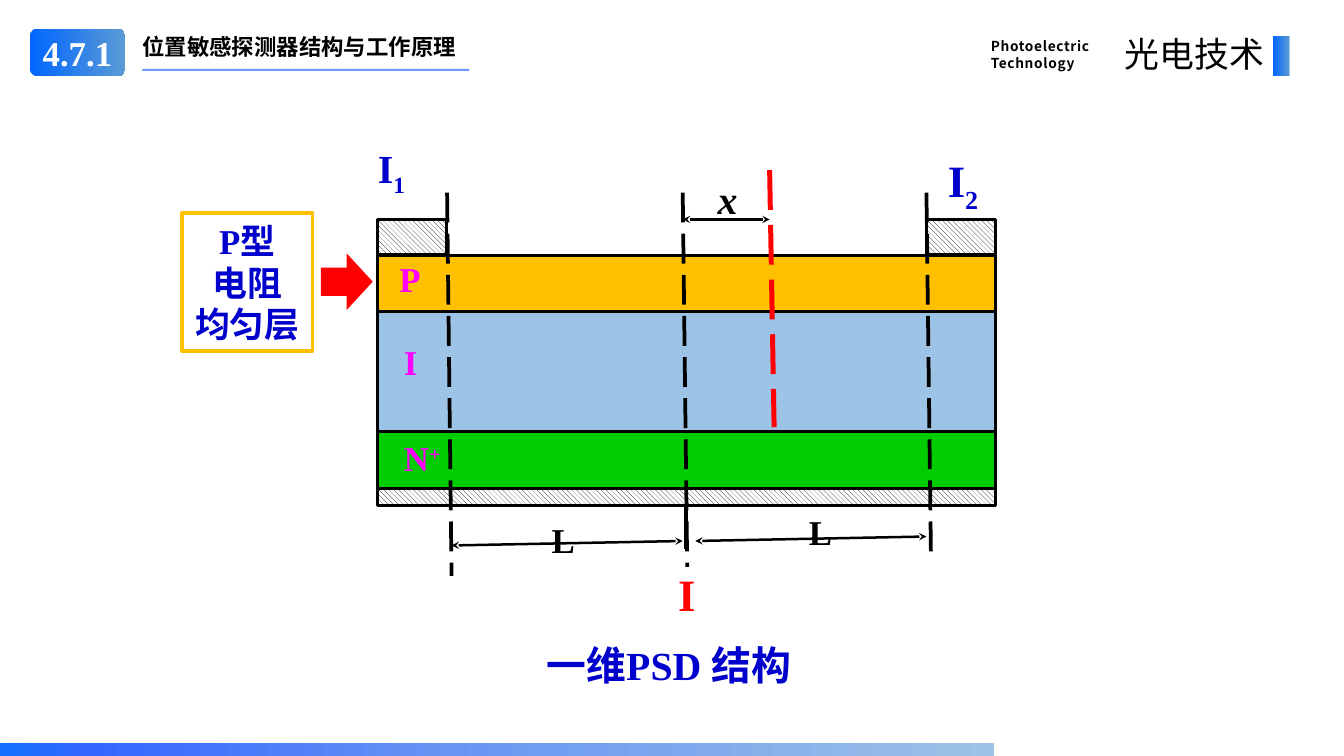
from copy import deepcopy

from lxml.etree import SubElement
from pptx import Presentation
from pptx.dml.color import RGBColor
from pptx.enum.dml import MSO_LINE, MSO_PATTERN
from pptx.enum.shapes import MSO_CONNECTOR, MSO_SHAPE
from pptx.enum.text import MSO_ANCHOR, MSO_AUTO_SIZE, PP_ALIGN
from pptx.oxml.ns import qn
from pptx.util import Inches, Pt

SERIF, SANS = "Times New Roman", "Noto Sans CJK SC"
BLUE, BLACK, RED, PINK, GOLD = "0000CC", "000000", "FF0000", "FF00FF", "FFC000"
BADGE = [(0, "0066FF"), (100, "5B9BD5")]
BAND = [(0, "1271FE"), (9, "3366FF"), (45, "6895F3"), (100, "9DC3E6")]


def color(value):
    return RGBColor.from_string(value)


def write(shape, words, size=28, font=SERIF, ink=BLACK, bold=True, italic=False,
          align=PP_ALIGN.LEFT, anchor=MSO_ANCHOR.TOP, grow=True,
          script="", base=0, gap=0, pitch=None):
    """Fill a shape with text; script is a raised or lowered last run."""
    frame = shape.text_frame
    frame.word_wrap = True
    frame.vertical_anchor = anchor
    if grow:
        frame.auto_size = MSO_AUTO_SIZE.SHAPE_TO_FIT_TEXT
    for i, line in enumerate(words.split("\n")):
        para = frame.add_paragraph() if i else frame.paragraphs[0]
        para.alignment = align
        if pitch:
            para.line_spacing = Pt(pitch)
        for part, shift in ((line, 0), (script, base)):
            if not part:
                continue
            run = para.add_run()
            run.text = part
            run.font.name, run.font.size = font, Pt(size)
            run.font.bold, run.font.italic = bold, italic
            run.font.color.rgb = color(ink)
            props = run.font._element
            SubElement(props, qn("a:ea")).set("typeface", SANS)
            if shift:
                props.set("baseline", str(shift * 1000))
            if gap:
                props.set("spc", str(int(gap * 100)))


def label(slide, box, words, **style):
    write(slide.shapes.add_textbox(*map(Inches, box)), words, **style)


def shade(fill, stops):
    """Set a left-to-right gradient from (percent, colour) pairs."""
    fill.gradient()
    fill.gradient_angle = 0
    first = fill.gradient_stops[0]._gs
    for _ in stops[2:]:
        first.addnext(deepcopy(first))
    for stop, (place, value) in zip(fill.gradient_stops, stops):
        stop.position = place / 100
        stop.color.rgb = color(value)


def block(slide, box, fill=None, line=None, width=2.5, kind=MSO_SHAPE.RECTANGLE):
    """Add a shape; fill is a colour, a list of stops, a pattern or None."""
    shape = slide.shapes.add_shape(kind, *map(Inches, box))
    shape.shadow.inherit = False
    if fill is None:
        shape.fill.background()
    elif isinstance(fill, list):
        shade(shape.fill, fill)
    elif isinstance(fill, str):
        shape.fill.solid()
        shape.fill.fore_color.rgb = color(fill)
    else:
        shape.fill.patterned()
        shape.fill.pattern = fill
        shape.fill.fore_color.rgb = color(BLACK)
        shape.fill.back_color.rgb = color("FFFFFF")
    if line:
        shape.line.color.rgb = color(line)
        shape.line.width = Pt(width)
    else:
        shape.line.fill.background()
    return shape


def rule(slide, start, end, ink=BLACK, width=3, dash=False, arrows=False, alpha=None):
    line = slide.shapes.add_connector(MSO_CONNECTOR.STRAIGHT, *map(Inches, start + end))
    line.line.color.rgb = color(ink)
    line.line.width = Pt(width)
    if dash:
        line.line.dash_style = MSO_LINE.LONG_DASH
    props = line._element.spPr
    if arrows:
        for name in ("a:headEnd", "a:tailEnd"):
            SubElement(props.find(qn("a:ln")), qn(name)).set("type", "stealth")
    if alpha:
        tint = next(props.iter(qn("a:srgbClr")))
        SubElement(tint, qn("a:alpha")).set("val", str(alpha * 1000))
    SubElement(props, qn("a:effectLst"))
    return line


def header(slide, left, top, width):
    badge = block(slide, (left, top, 1.07, 0.53), BADGE, kind=MSO_SHAPE.ROUNDED_RECTANGLE)
    write(badge, "4.7.1", ink="FFFFFF", align=PP_ALIGN.CENTER,
          anchor=MSO_ANCHOR.MIDDLE, grow=False)
    label(slide, (left + 1.16, top, 3.9, 0.4), "位置敏感探测器结构与工作原理", size=18, font=SANS)
    rule(slide, (left + 1.26, top + 0.46), (left + 4.91, top + 0.46),
         "3366FF", 1.5, alpha=70)
    right = left + width
    label(slide, (right - 3.43, top + 0.04, 1.58, 0.49), "Photoelectric\nTechnology",
          size=11, font=SANS, gap=0.5, pitch=14)
    label(slide, (right - 2.08, top, 1.9, 0.57), "光电技术", font=SANS, bold=False,
          align=PP_ALIGN.RIGHT, gap=0.2)
    block(slide, (right - 0.18, top + 0.08, 0.18, 0.45), BADGE)


def layers(slide, left, top, width):
    """Stack the layers under the two top contacts; return the bottom contact."""
    hatch = MSO_PATTERN.WIDE_DOWNWARD_DIAGONAL
    for x in (left, left + width - 0.77):
        block(slide, (x, top, 0.77, 0.39), hatch, BLACK)
    y = top + 0.4
    for fill, height in ((GOLD, 0.63), ("9DC3E6", 1.34), ("00CC00", 0.63), (hatch, 0.19)):
        base = block(slide, (left, y, width, height), fill, BLACK)
        y += height
    return base


def marks(slide, left, top, width, base):
    """Draw the axes, the spans between them and every letter."""
    mid, end = left + 3.41, left + width - 0.77
    for x, drop in ((left + 0.78, 3.98), (mid, 3.88), (end, 3.73)):
        rule(slide, (x, top - 0.3), (x + 0.05, top + drop), dash=True)
    spot = mid + 0.97
    rule(slide, (spot, top - 0.55), (spot + 0.05, top + 2.32), RED, 4, dash=True)
    stem = rule(slide, (mid + 0.05, top + 3.2), (mid + 0.04, top + 3.68))
    stem.begin_connect(base, 2)
    for start, stop, y, rise in ((left + 0.83, mid, 3.64, 0.05),
                                 (mid + 0.14, end, 3.59, 0.05), (mid, spot, 0, 0)):
        rule(slide, (start, top + y), (stop, top + y - rise), width=2, arrows=True)

    for words, x, y, wide, high, style in (
            ("P", 0.15, 0.38, 0.44, 0.57, {"ink": PINK}),
            ("I", 0.2, 1.3, 0.44, 0.57, {"ink": PINK}),
            ("N", 0.2, 2.38, 0.63, 1.03, {"ink": PINK, "script": "+", "base": 30}),
            ("L", 1.85, 3.29, 0.44, 0.57, {}),
            ("L", 4.72, 3.2, 0.49, 0.57, {}),
            ("x", 3.7, -0.55, 0.44, 0.63, {"size": 32, "italic": True}),
            ("I", -0.09, -0.89, 0.73, 0.63,
             {"size": 32, "ink": BLUE, "script": "1", "base": -25}),
            ("I", 6.27, -0.79, 0.73, 0.7,
             {"size": 36, "ink": BLUE, "script": "2", "base": -25}),
            ("I", 3.26, 3.83, 0.73, 0.7, {"size": 36, "ink": RED})):
        label(slide, (left + x, top + y, wide, high), words, **style)


def callout(slide, left, top, width, height):
    box = block(slide, (left, top, width, height), line=GOLD, width=3)
    write(box, "P型\n电阻\n均匀层", ink=BLUE, align=PP_ALIGN.CENTER,
          anchor=MSO_ANCHOR.MIDDLE)
    block(slide, (left + width + 0.09, top + 0.45, 0.58, 0.63), RED,
          kind=MSO_SHAPE.RIGHT_ARROW)


def main():
    deck = Presentation()
    deck.slide_width, deck.slide_height = Inches(15), Inches(8.44)
    slide = deck.slides.add_slide(deck.slide_layouts[6])
    header(slide, 0.33, 0.32, 14.06)
    base = layers(slide, 4.21, 2.45, 6.9)
    marks(slide, 4.21, 2.45, 6.9, base)
    callout(slide, 2.03, 2.38, 1.46, 1.54)
    label(slide, (4.72, 7.11, 5.49, 0.63), "一维PSD 结构", size=32, ink=BLUE,
          align=PP_ALIGN.CENTER, anchor=MSO_ANCHOR.MIDDLE)
    block(slide, (0, 8.3, 11.09, 0.14), BAND)
    deck.save("out.pptx")


if __name__ == "__main__":
    main()
